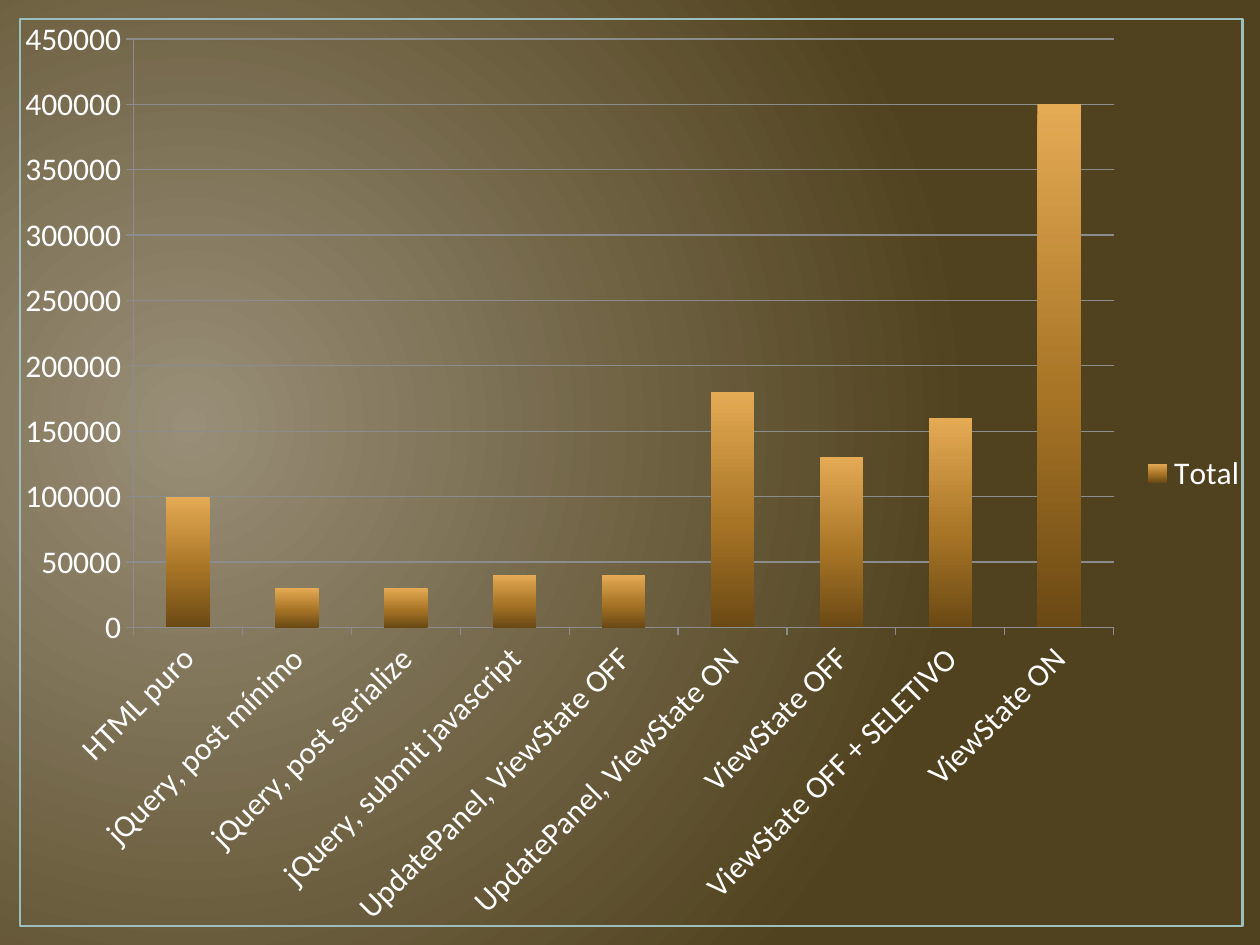
from lxml.etree import SubElement
from pptx import Presentation
from pptx.chart.data import CategoryChartData
from pptx.dml.color import RGBColor
from pptx.enum.chart import XL_CHART_TYPE, XL_LEGEND_POSITION, XL_TICK_MARK
from pptx.enum.shapes import MSO_SHAPE
from pptx.oxml.ns import qn
from pptx.util import Inches, Pt

WIDTH, HEIGHT = 10, 7.5

WHITE = RGBColor(0xFF, 0xFF, 0xFF)
TEAL = RGBColor(0x9C, 0xBE, 0xBD)
GRAY = RGBColor(0x8C, 0x8C, 0x8C)
SAND = RGBColor(0x99, 0x8E, 0x77)
BROWN = RGBColor(0x50, 0x42, 0x1E)
GOLD = RGBColor(0xE5, 0xAA, 0x54)
AMBER = RGBColor(0xA8, 0x75, 0x26)
UMBER = RGBColor(0x6B, 0x49, 0x14)

TOTALS = {
    "HTML puro": 100000,
    "jQuery, post mínimo": 30000,
    "jQuery, post serialize": 30000,
    "jQuery, submit javascript": 40000,
    "UpdatePanel, ViewState OFF": 40000,
    "UpdatePanel, ViewState ON": 180000,
    "ViewState OFF": 130000,
    "ViewState OFF + SELETIVO": 160000,
    "ViewState ON": 400000,
}


def set_all(item, values):
    for name, value in values.items():
        setattr(item, name, value)


def set_stops(grad, stops):
    """Replace the colour stops of a gradient fill; positions in percent."""
    box = grad.find(qn("a:gsLst"))
    for old in list(box):
        box.remove(old)
    for pos, color in stops:
        stop = SubElement(box, qn("a:gs"), pos=str(pos * 1000))
        SubElement(stop, qn("a:srgbClr"), val=str(color))


def set_place(part, index, left, top, width, height):
    """Place a part of the full-slide chart; lengths in inches."""
    for old in part.findall(qn("c:layout")):
        part.remove(old)
    layout = part.makeelement(qn("c:layout"))
    part.insert(index, layout)
    manual = SubElement(layout, qn("c:manualLayout"))
    if part.tag == qn("c:plotArea"):
        SubElement(manual, qn("c:layoutTarget"), val="inner")
    for mode in ("xMode", "yMode"):
        SubElement(manual, qn("c:" + mode), val="edge")
    sizes = {"x": left / WIDTH, "y": top / HEIGHT,
             "w": width / WIDTH, "h": height / HEIGHT}
    for name, size in sizes.items():
        SubElement(manual, qn("c:" + name), val=str(size))


class Deck:
    font = {"name": "Calibri", "size": Pt(18), "bold": False}
    line = {"width": Pt(0.75)}

    def __init__(self, show):
        self.slide = show.slides.add_slide(show.slide_layouts[6])

    def style(self, font):
        set_all(font, self.font)
        font.color.rgb = WHITE

    def backdrop(self, stops):
        self.slide.background.fill.gradient()
        grad = self.slide.element.find(".//" + qn("a:gradFill"))
        set_stops(grad, stops)
        grad.remove(grad.find(qn("a:lin")))
        glow = SubElement(grad, qn("a:path"), path="circle")
        SubElement(glow, qn("a:fillToRect"),
                   l="15000", t="50000", r="85000", b="60000")

    def frame(self, left, top, width, height):
        box = self.slide.shapes.add_shape(
            MSO_SHAPE.RECTANGLE, *map(Inches, (left, top, width, height)))
        box.shadow.inherit = False
        box.fill.background()
        box.line.color.rgb = TEAL
        box.line.width = Pt(1.5)

    def axis(self, axis):
        axis.major_tick_mark = XL_TICK_MARK.OUTSIDE
        axis.minor_tick_mark = XL_TICK_MARK.NONE
        axis.format.line.color.rgb = GRAY
        set_all(axis.format.line, self.line)
        self.style(axis.tick_labels.font)

    def columns(self, name, totals):
        data = CategoryChartData()
        data.categories = list(totals)
        data.add_series(name, list(totals.values()))
        chart = self.slide.shapes.add_chart(
            XL_CHART_TYPE.COLUMN_CLUSTERED, 0, 0,
            Inches(WIDTH), Inches(HEIGHT), data).chart
        set_all(chart, {"has_title": False, "has_legend": True})
        self.style(chart.font)

        # Axes and gridlines
        cats, vals = chart.category_axis, chart.value_axis
        for axis in (cats, vals):
            self.axis(axis)
        set_all(vals, {"minimum_scale": 0, "maximum_scale": 450000,
                       "major_unit": 50000, "has_major_gridlines": True})
        grid = vals.major_gridlines.format.line
        grid.color.rgb = GRAY
        set_all(grid, self.line)
        body = chart.element.find(".//" + qn("c:catAx") + "//" + qn("a:bodyPr"))
        body.set("rot", "-2700000")

        # Gradient columns
        plot = chart.plots[0]
        set_all(plot, {"gap_width": 150, "vary_by_categories": False})
        fill = plot.series[0].format.fill
        fill.gradient()
        fill.gradient_angle = 270
        set_stops(chart.element.find(".//" + qn("c:ser") + "//" + qn("a:gradFill")),
                  [(0, GOLD), (55, AMBER), (100, UMBER)])

        # Legend and plot area
        set_all(chart.legend, {"position": XL_LEGEND_POSITION.RIGHT,
                               "include_in_layout": False})
        self.style(chart.legend.font)
        set_place(chart.element.find(".//" + qn("c:plotArea")), 0,
                  1.06, 0.31, 7.78, 4.67)
        set_place(chart.element.find(".//" + qn("c:legend")), 1,
                  9.05, 3.53, 0.85, 0.45)


def main():
    show = Presentation()
    set_all(show, {"slide_width": Inches(WIDTH), "slide_height": Inches(HEIGHT)})
    deck = Deck(show)
    deck.backdrop([(0, SAND), (100, BROWN)])
    deck.frame(0.16, 0.15, 9.7, 7.2)
    deck.columns("Total", TOTALS)
    show.save("out.pptx")


if __name__ == "__main__":
    main()
